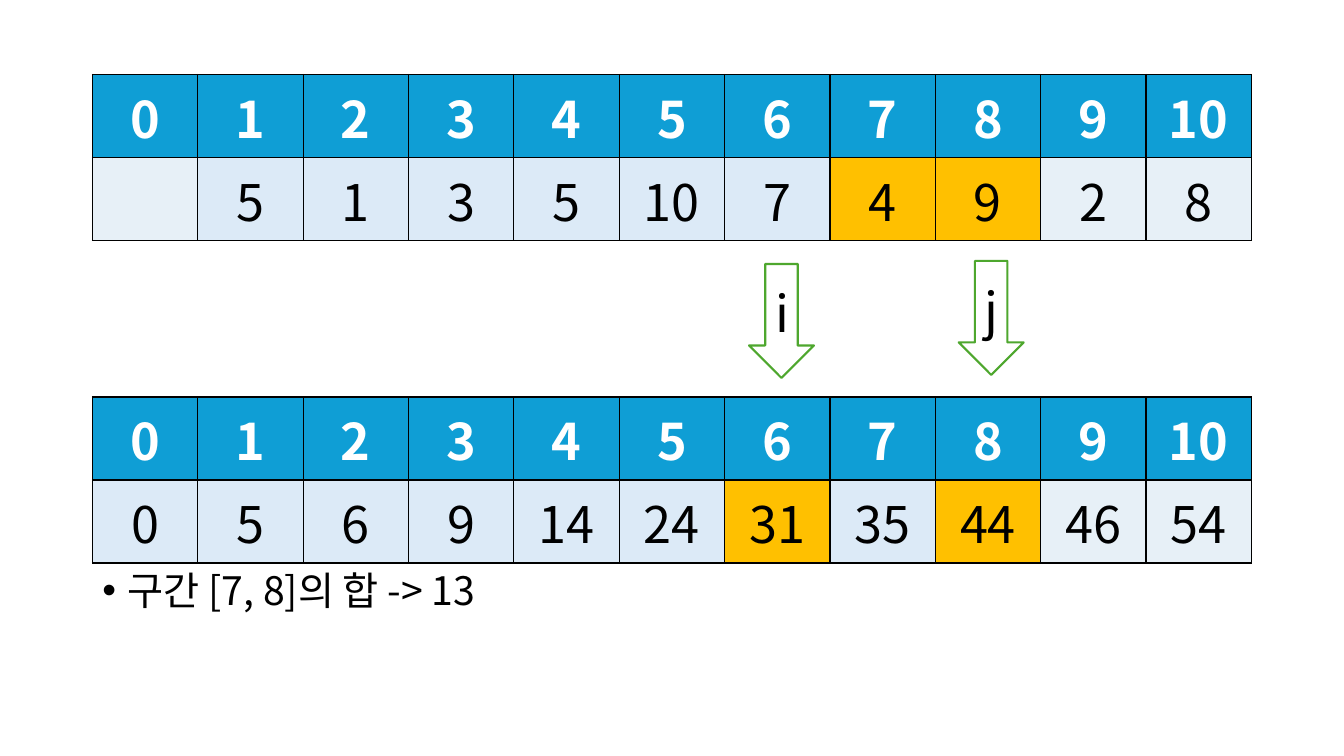
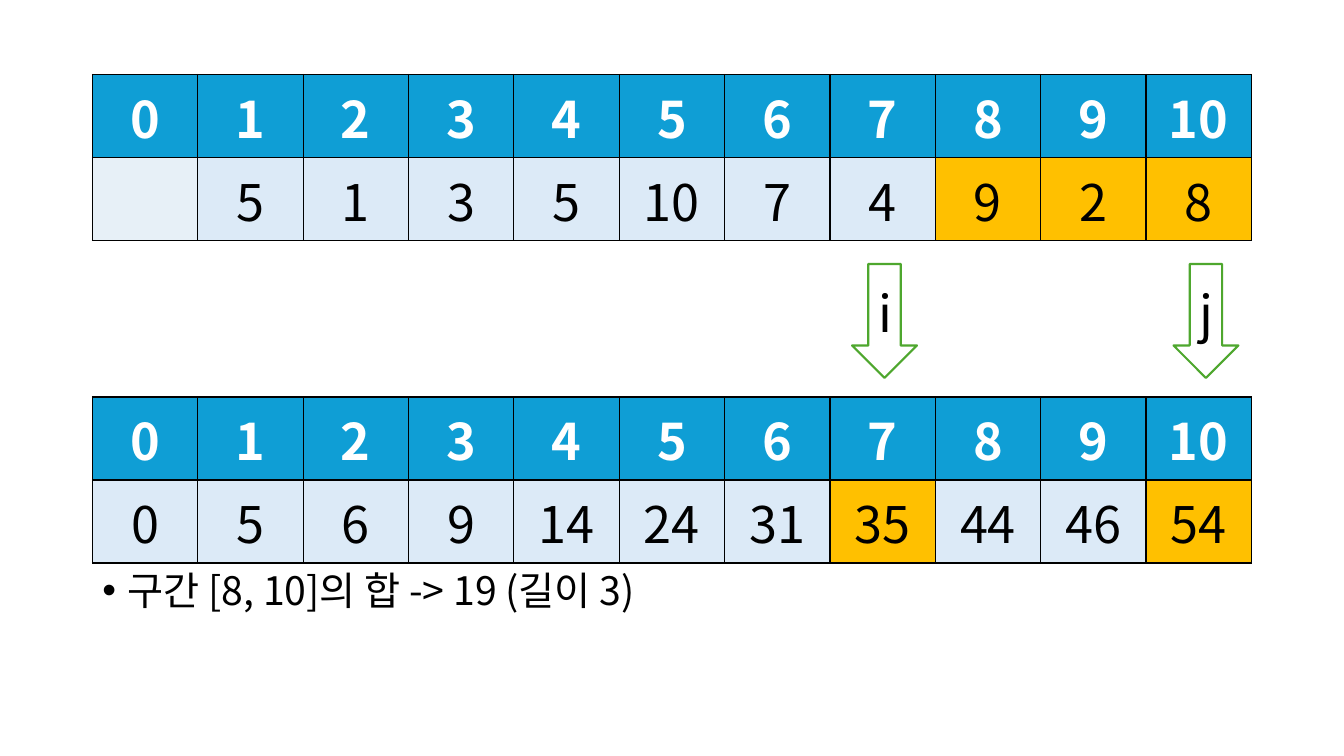
from dataclasses import dataclass
from itertools import accumulate

from lxml.etree import SubElement
from pptx import Presentation
from pptx.dml.color import RGBColor
from pptx.enum.shapes import MSO_SHAPE
from pptx.enum.text import MSO_ANCHOR, MSO_AUTO_SIZE, PP_ALIGN
from pptx.oxml.ns import qn
from pptx.slide import Slide
from pptx.util import Pt

FONT = "Noto Sans CJK KR"
BLACK, WHITE = "000000", "FFFFFF"
HEAD, CELL, PALE, MARK, GREEN = "0F9ED5", "DCEAF7", "E7F0F7", "FFC000", "4EA72E"

LEFT, WIDTH, ROW = 66, 828, 50.4
TOP, LOWER, NOTE = 53.2, 283.6, 404.6
ARROW_W, ARROW_H = 46.4, 81.4

DATA = [5, 1, 3, 5, 10, 7, 4, 9, 2, 8]
SUMS = list(accumulate(DATA, initial=0))
INDEX = range(len(SUMS))


@dataclass
class Arrow:
    label: str
    left: float
    top: float
    column: int


@dataclass
class Step:
    start: Arrow
    end: Arrow
    note: str


STEPS = [
    Step(Arrow("i", 535, 188.6, 6), Arrow("j", 684.8, 186.4, 8),
         "구간 [7, 8]의 합 -> 13"),
    Step(Arrow("i", 608.6, 188.6, 7), Arrow("j", 838.2, 188.6, 10),
         "구간 [8, 10]의 합 -> 19 (길이 3)"),
]


def color(code: str) -> RGBColor:
    return RGBColor.from_string(code)


def write(frame, text: str, size: float, ink: str = BLACK, bold: bool = False) -> None:
    run = frame.paragraphs[0].add_run()
    run.text = text
    font = run.font
    font.name, font.size, font.bold = FONT, Pt(size), bold
    font.color.rgb = color(ink)
    SubElement(run._r.get_or_add_rPr(), qn("a:ea"), typeface=FONT)


def border(cell) -> None:
    props = cell._tc.get_or_add_tcPr()
    for side in ("lnL", "lnR", "lnT", "lnB"):
        line = SubElement(props, qn(f"a:{side}"), w=str(Pt(1)))
        fill = SubElement(line, qn("a:solidFill"))
        SubElement(fill, qn("a:srgbClr"), val=BLACK)


def paint(cell, text: str, fill: str, ink: str, bold: bool) -> None:
    border(cell)
    cell.fill.solid()
    cell.fill.fore_color.rgb = color(fill)
    cell.vertical_anchor = MSO_ANCHOR.MIDDLE
    cell.text_frame.paragraphs[0].alignment = PP_ALIGN.CENTER
    if text:
        write(cell.text_frame, text, 36, ink, bold)


def add_array(slide: Slide, top: float, values: list, marks: set[int], last: int) -> None:
    """Draw indices over values; columns after last, and empty ones, are paler."""
    count = len(values)
    table = slide.shapes.add_table(
        2, count, Pt(LEFT), Pt(top), Pt(WIDTH), Pt(2 * ROW)).table
    table.horz_banding = False
    for row in table.rows:
        row.height = Pt(ROW)
    for col, value in enumerate(values):
        table.columns[col].width = Pt(WIDTH / count)
        paint(table.cell(0, col), str(col), HEAD, WHITE, True)
        plain = PALE if col > last or value == "" else CELL
        fill = MARK if col in marks else plain
        paint(table.cell(1, col), str(value), fill, BLACK, False)


def add_arrow(slide: Slide, arrow: Arrow) -> None:
    shape = slide.shapes.add_shape(
        MSO_SHAPE.DOWN_ARROW, Pt(arrow.left), Pt(arrow.top), Pt(ARROW_W), Pt(ARROW_H))
    shape.shadow.inherit = False
    shape.fill.solid()
    shape.fill.fore_color.rgb = color(WHITE)
    shape.line.color.rgb = color(GREEN)
    shape.line.width = Pt(1.5)
    frame = shape.text_frame
    frame.vertical_anchor = MSO_ANCHOR.MIDDLE
    frame.paragraphs[0].alignment = PP_ALIGN.CENTER
    write(frame, arrow.label, 36)


def add_note(slide: Slide, text: str) -> None:
    body = slide.placeholders[1]
    body.left, body.top, body.width, body.height = Pt(LEFT), Pt(NOTE), Pt(WIDTH), Pt(82)
    frame = body.text_frame
    frame.auto_size = MSO_AUTO_SIZE.NONE
    para = frame.paragraphs[0]
    props = para._p.get_or_add_pPr()
    props.set("marL", str(Pt(18)))
    props.set("indent", str(-Pt(18)))
    SubElement(props, qn("a:buFont"), typeface="Arial")
    SubElement(props, qn("a:buChar"), char="•")
    para.line_spacing = 0.9
    para.space_before = Pt(0)
    write(frame, text, 28)


def add_step(deck, step: Step) -> None:
    slide = deck.slides.add_slide(deck.slide_layouts[1])
    title = slide.shapes.title.element
    title.getparent().remove(title)
    first, last = step.start.column, step.end.column
    add_note(slide, step.note)
    add_array(slide, LOWER, SUMS, {first, last}, last)
    add_arrow(slide, step.start)
    add_arrow(slide, step.end)
    add_array(slide, TOP, ["", *DATA], set(INDEX[first + 1:last + 1]), last)


def main() -> None:
    deck = Presentation()
    deck.slide_width, deck.slide_height = Pt(960), Pt(540)
    for step in STEPS:
        add_step(deck, step)
    deck.save("out.pptx")


if __name__ == "__main__":
    main()
